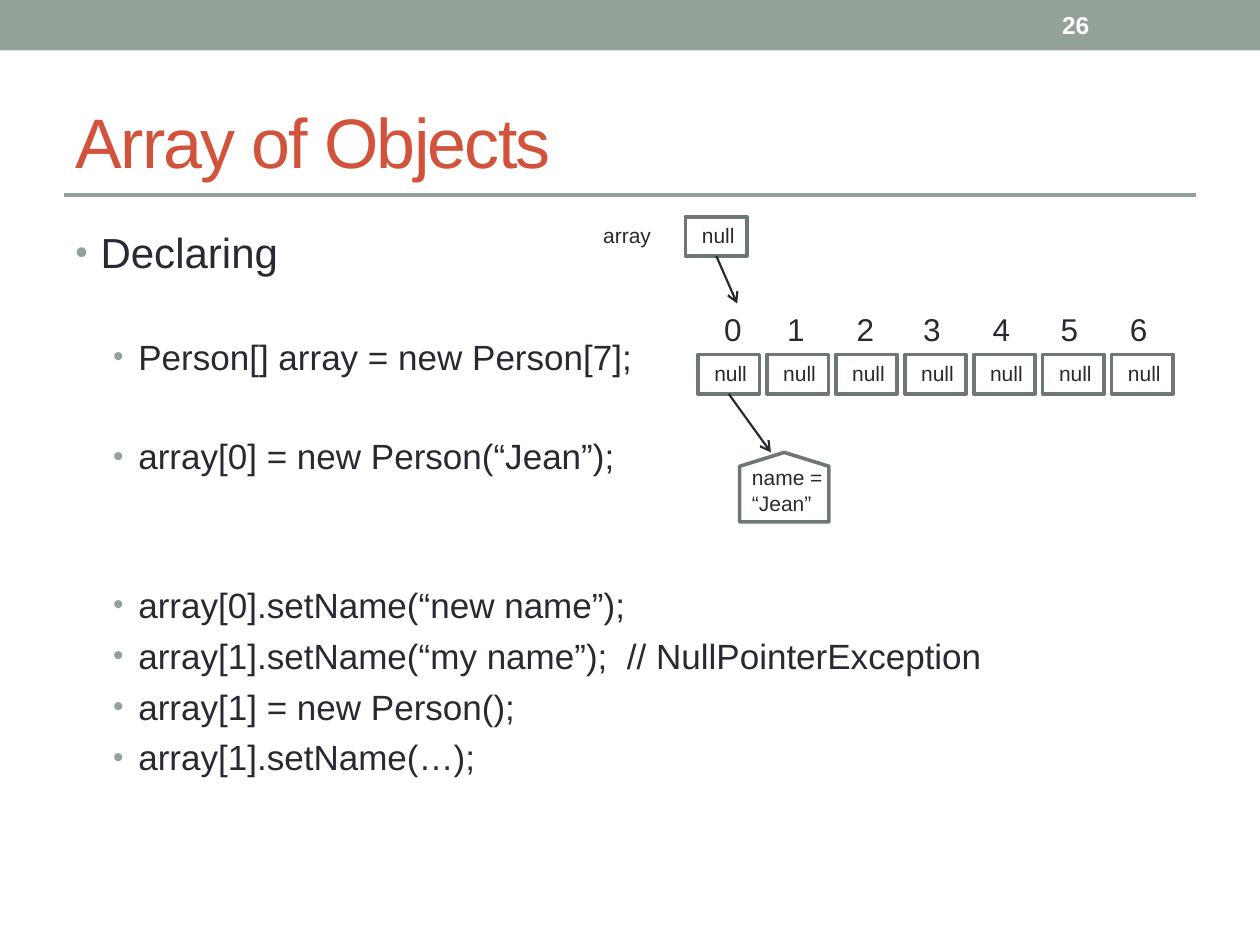
"""Build the slide that explains arrays of objects."""
from lxml import etree
from pptx import Presentation, util as u
from pptx.dml.color import RGBColor
from pptx.enum import shapes, text
from pptx.oxml import ns

SAGE = RGBColor(0x93, 0xA2, 0x99)
DARK_SAGE = RGBColor(0x6D, 0x78, 0x71)
RED = RGBColor(0xD2, 0x53, 0x3C)
INK = RGBColor(0x29, 0x29, 0x34)
WHITE = RGBColor(0xFF, 0xFF, 0xFF)

CELL_LEFT, CELL_TOP, CELL_STEP = 14.07, 7.15, 1.39
CELL_SIZE = (1.24, 0.79)
INDEX_LEFTS = (14.35, 15.62, 17.02, 18.36, 19.76, 21.13, 22.53)
BULLETS = (
    ("Declaring", 0, 4.8),
    ("Person[] array = new Person[7];", 1, 33),
    ("array[0] = new Person(“Jean”);", 1, 33),
    ("array[0].setName(“new name”);", 1, 61),
    ("array[1].setName(“my name”);  // NullPointerException", 1, 5),
    ("array[1] = new Person();", 1, 5),
    ("array[1].setName(…);", 1, 5),
)
LEVELS = ({"size": 24, "indent": 0.2}, {"size": 20, "indent": 0.5})


class SlideBuilder:
    """Hold the style and the slide, and add each kind of element."""

    font = "Arial"

    def __init__(self, slide):
        self.slide = slide

    def child(self, parent, tag, **attributes):
        return etree.SubElement(parent, ns.qn(tag), attributes)

    def styled_run(self, paragraph, content, size, color=INK, bold=False):
        run = paragraph.add_run()
        run.text = content
        formats = {"name": self.font, "size": u.Pt(size), "bold": bold}
        for name, value in formats.items():
            setattr(run.font, name, value)
        run.font.color.rgb = color
        return run

    def title(self, content, left, top, width, height):
        title = self.slide.shapes.title
        place = {"left": left, "top": top, "width": width, "height": height}
        for name, value in place.items():
            setattr(title, name, u.Cm(value))
        frame = title.text_frame
        formats = {"auto_size": text.MSO_AUTO_SIZE.NONE,
                   "vertical_anchor": text.MSO_ANCHOR.MIDDLE}
        for name, value in formats.items():
            setattr(frame, name, value)
        paragraph = frame.paragraphs[0]
        paragraph.alignment = text.PP_ALIGN.LEFT
        run = self.styled_run(paragraph, content, 40, RED)
        run.font._element.set("spc", "-100")

    def text_box(self, left, top, width, height, anchor=text.MSO_ANCHOR.TOP):
        box = self.slide.shapes.add_textbox(
            *map(u.Cm, (left, top, width, height)))
        box.text_frame.word_wrap = True
        box.text_frame.vertical_anchor = anchor
        return box.text_frame

    def label(self, content, left, top, width, height, size=12):
        frame = self.text_box(left, top, width, height)
        self.styled_run(frame.paragraphs[0], content, size)

    def bullets(self, items, left, top, width, height):
        frame = self.text_box(left, top, width, height)
        for number, (content, level, space) in enumerate(items):
            paragraph = frame.add_paragraph() if number else frame.paragraphs[0]
            paragraph.level = level
            paragraph.space_before = u.Pt(space)
            style = LEVELS[level]
            properties = paragraph._p.get_or_add_pPr()
            properties.set("marL", str(u.Inches(style["indent"])))
            properties.set("indent", str(u.Inches(-0.2)))
            color = self.child(properties, "a:buClr")
            self.child(color, "a:srgbClr", val=str(SAGE))
            self.child(properties, "a:buSzPct", val="85000")
            self.child(properties, "a:buFont", typeface=self.font)
            self.child(properties, "a:buChar", char="•")
            self.styled_run(paragraph, content, style["size"])

    def shape(self, kind, left, top, width, height, fill=WHITE, line=DARK_SAGE):
        shape = self.slide.shapes.add_shape(
            kind, *map(u.Cm, (left, top, width, height)))
        shape.shadow.inherit = False
        shape.fill.solid()
        shape.fill.fore_color.rgb = fill
        if line is None:
            shape.line.fill.background()
        else:
            shape.line.color.rgb = line
            shape.line.width = u.Pt(2.08)
        return shape

    def null_cell(self, left, top):
        cell = self.shape(shapes.MSO_SHAPE.RECTANGLE, left, top, *CELL_SIZE)
        self.label("null", left + 0.08, top, 1.25, 0.76)
        return cell

    def line(self, start, end, color, width):
        connector = self.slide.shapes.add_connector(
            shapes.MSO_CONNECTOR.STRAIGHT, *map(u.Cm, start + end))
        connector.line.color.rgb = color
        connector.line.width = u.Pt(width)
        self.child(connector._element.spPr, "a:effectLst")
        return connector

    def arrow(self, cell, end):
        connector = self.line((0, 0), end, INK, 1.25)
        connector.begin_connect(cell, 2)
        self.child(connector.line._get_or_add_ln(), "a:tailEnd", type="arrow")


def main():
    presentation = Presentation()
    presentation.slide_width = u.Cm(25.4)
    presentation.slide_height = u.Cm(19.05)
    builder = SlideBuilder(
        presentation.slides.add_slide(presentation.slide_layouts[5]))

    builder.shape(shapes.MSO_SHAPE.RECTANGLE, 0, 0, 25.4, 1.02, SAGE, None)
    builder.line((1.3, 3.93), (24.1, 3.93), SAGE, 2.5)
    builder.title("Array of Objects", 1.27, 1.47, 22.86, 2.74)
    builder.bullets(BULLETS, 1.27, 4.45, 22.86, 13.54)

    builder.label("array", 11.91, 4.37, 1.6, 0.76)
    reference = builder.null_cell(13.82, 4.37)
    for index, left in enumerate(INDEX_LEFTS):
        builder.label(str(index), left, 6.12, 1, 1.02, 18)
    cells = [builder.null_cell(CELL_LEFT + CELL_STEP * index, CELL_TOP)
             for index in range(len(INDEX_LEFTS))]
    builder.arrow(reference, (14.86, 6.12))
    builder.arrow(cells[0], (15.54, 9.12))

    person = builder.shape(shapes.MSO_SHAPE.FLOWCHART_OFFPAGE_CONNECTOR,
                           14.91, 9.12, 1.8, 1.4)
    person.rotation = 180
    builder.label("name = “Jean”", 14.91, 9.25, 2.69, 1.27)

    number = builder.text_box(21.16, 0.05, 2.97, 0.91, text.MSO_ANCHOR.MIDDLE)
    builder.styled_run(number.paragraphs[0], "26", 14, WHITE, True)
    presentation.save("out.pptx")


if __name__ == "__main__":
    main()
